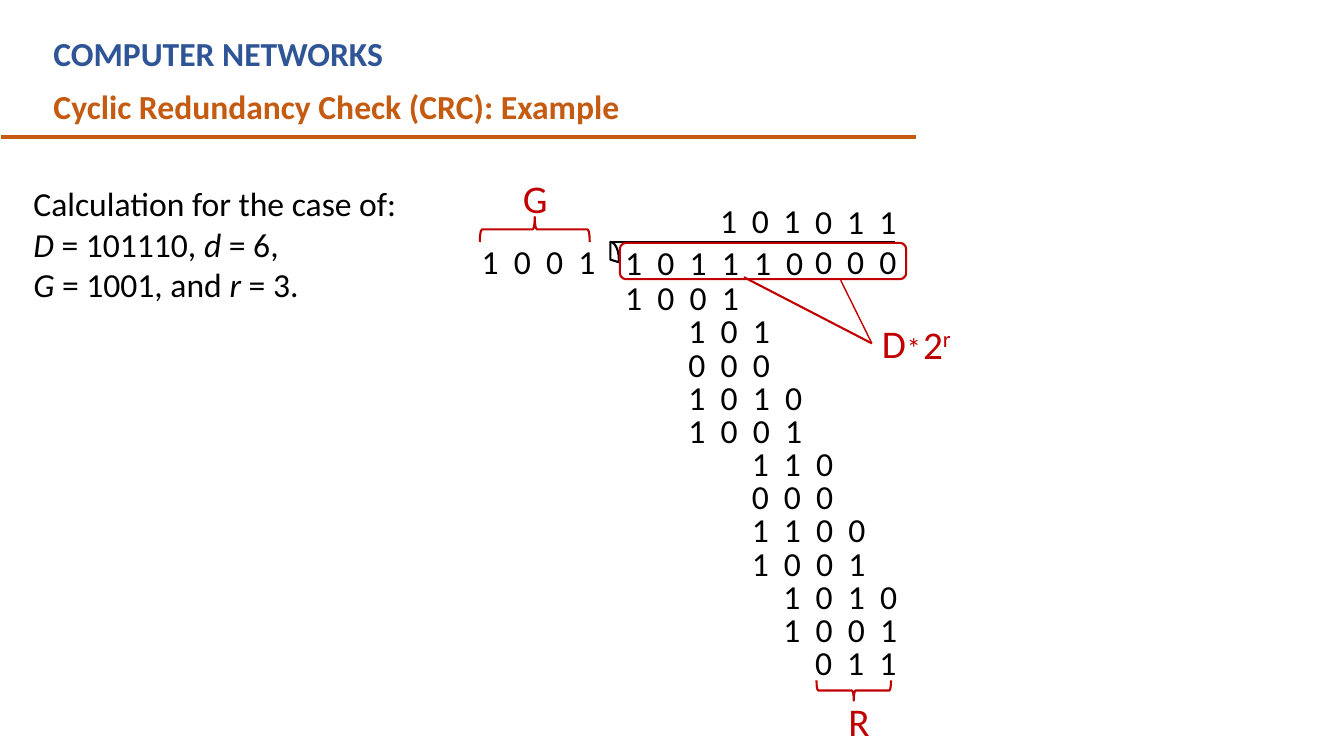
import pptx
import pptx.util
import pptx.dml.color
import pptx.enum.shapes
import pptx.enum.text
import pptx.oxml.ns
import lxml.etree

Pt = pptx.util.Pt
SHAPES = pptx.enum.shapes.MSO_SHAPE
COLORS = {"black": "000000", "red": "C00000", "blue": "2F5597", "orange": "C55A11"}
COLUMN_LEFT, COLUMN_STEP = 439.5, 22.6
ROW_TOP, ROW_STEP = 194.4, 23.69
DIGIT_STEP = 23


def rgb(name):
    return pptx.dml.color.RGBColor.from_string(COLORS[name])


def add_child(parent, tag, **attributes):
    return lxml.etree.SubElement(parent, pptx.oxml.ns.qn(tag), **attributes)


def write(paragraph, text, size=24, color="black", bold=False, italic=False, raised=False):
    run = paragraph.add_run()
    run.text = text
    run.font.name = "Calibri"
    run.font.size = Pt(size)
    run.font.bold = bold
    run.font.italic = italic
    run.font.color.rgb = rgb(color)
    if raised:
        run.font._element.set("baseline", "30000")


class Board:
    def __init__(self, slide, font_size=24, line_width=1.5):
        self.slide = slide
        self.font_size = font_size
        self.line_width = line_width

    def prepare(self, shape):
        frame = shape.text_frame
        frame.word_wrap = True
        frame.auto_size = pptx.enum.text.MSO_AUTO_SIZE.SHAPE_TO_FIT_TEXT
        frame.vertical_anchor = pptx.enum.text.MSO_ANCHOR.TOP
        return frame.paragraphs[0]

    def placeholder(self, index, left, top, width, height):
        shape = self.slide.placeholders[index]
        shape.left, shape.top = Pt(left), Pt(top)
        shape.width, shape.height = Pt(width), Pt(height)
        paragraph = self.prepare(shape)
        paragraph.alignment = pptx.enum.text.PP_ALIGN.LEFT
        return shape, paragraph

    def label(self, text, left, top, width, height, size=None, **style):
        box = self.slide.shapes.add_textbox(Pt(left), Pt(top), Pt(width), Pt(height))
        write(self.prepare(box), text, size=size or self.font_size, **style)
        return box

    def digits(self, bits, left, top):
        width = DIGIT_STEP * len(bits) + 4
        box = self.slide.shapes.add_textbox(Pt(left), Pt(top), Pt(width), Pt(36))
        paragraph = self.prepare(box)
        if len(bits) > 1:
            stops = add_child(paragraph._p.get_or_add_pPr(), "a:tabLst")
            for place in range(1, len(bits)):
                add_child(stops, "a:tab", pos=str(int(Pt(DIGIT_STEP * place))), algn="l")
        write(paragraph, "\t".join(bits), size=self.font_size)

    def outline(self, kind, left, top, width, height, color="red", rotation=0):
        shape = self.slide.shapes.add_shape(kind, Pt(left), Pt(top), Pt(width), Pt(height))
        shape.shadow.inherit = False
        shape.fill.background()
        shape.line.color.rgb = rgb(color)
        shape.line.width = Pt(self.line_width)
        shape.rotation = rotation
        return shape

    def line(self, start, end, color, width=None):
        connector = self.slide.shapes.add_connector(
            pptx.enum.shapes.MSO_CONNECTOR.STRAIGHT, *(Pt(value) for value in start + end))
        connector.line.color.rgb = rgb(color)
        connector.line.width = Pt(width or self.line_width)
        add_child(connector._element.spPr, "a:effectLst")
        return connector


def column(number):
    return COLUMN_LEFT + COLUMN_STEP * number


def add_heading(board):
    board.label("COMPUTER NETWORKS", 31, 20.2, 590, 36, color="blue", bold=True)
    board.line((0.7, 97.9), (654.5, 97.9), "orange", 3)
    title, heading = board.placeholder(0, 31, 57.6, 430, 36)
    write(heading, "Cyclic Redundancy Check (CRC): Example", color="orange", bold=True)


def add_parameters(board):
    body, paragraph = board.placeholder(1, 16.6, 127.4, 284.4, 94.3)
    statements = [
        [("Calculation for the case of:", False)],
        [("D ", True), ("= 101110, ", False), ("d ", True), ("= 6,", False)],
        [("G ", True), ("= 1001, and ", False), ("r ", True), ("= 3.", False)],
    ]
    for number, statement in enumerate(statements):
        if number:
            paragraph = body.text_frame.add_paragraph()
        paragraph.space_before = Pt(0)
        properties = paragraph._p.get_or_add_pPr()
        properties.set("marL", "0")
        properties.set("indent", "0")
        add_child(properties, "a:buNone")
        for text, italic in statement:
            write(paragraph, text, italic=italic)


def add_division(board):
    steps = [
        (0, "1001"), (2, "101"), (2, "000"), (2, "1010"), (2, "1001"), (4, "110"),
        (4, "000"), (4, "1100"), (4, "1001"), (5, "1010"), (5, "1001"), (6, "011"),
    ]
    for row, (place, bits) in enumerate(steps):
        board.digits(bits, column(place), ROW_TOP + ROW_STEP * row)
    for place, bit in enumerate("101", start=3):
        board.digits(bit, column(place), 139)
    board.digits("011", column(6), 139.7)
    board.digits("1001", 337, 168.5)
    board.line((436.3, 172.8), (639.4, 172.8), "black")
    bracket = board.outline(SHAPES.PIE, 423.4, 179.3, 25.2, 12.2, "black", 270)
    bracket.adjustments[0] = 0
    bracket.adjustments[1] = 64.52
    board.digits("101110", column(0), 169.2)
    board.digits("000", column(6), 168.5)


def add_annotations(board):
    board.outline(SHAPES.ROUNDED_RECTANGLE, 442.8, 173.5, 204.5, 25.9)
    board.label("G", 366.5, 121, 33, 41, 28, color="red")
    board.outline(SHAPES.RIGHT_BRACE, 373, 124.6, 18, 78.5, rotation=270)
    board.label("R", 599, 494.6, 30, 41, 28, color="red")
    board.outline(SHAPES.RIGHT_BRACE, 602.6, 466.6, 14.4, 53.3, rotation=90)
    data = board.label("D", 622.8, 224.8, 32, 41, 28, color="red")
    for start, width in [((531.4, 198), 1.5), ((600.5, 200.2), 1)]:
        pointer = board.line(start, (622.8, 245.3), "red", width)
        pointer.end_connect(data, 1)
    power = board.label("2", 652.3, 225.4, 36, 41, 28, color="red")
    write(power.text_frame.paragraphs[0], "r", size=28, color="red", raised=True)
    board.label("*", 640.8, 232.6, 25, 31.5, 20, color="red")


def main():
    deck = pptx.Presentation()
    deck.slide_width, deck.slide_height = Pt(960), Pt(540)
    board = Board(deck.slides.add_slide(deck.slide_layouts[1]))
    add_heading(board)
    add_parameters(board)
    add_division(board)
    add_annotations(board)
    deck.save("out.pptx")


if __name__ == "__main__":
    main()
